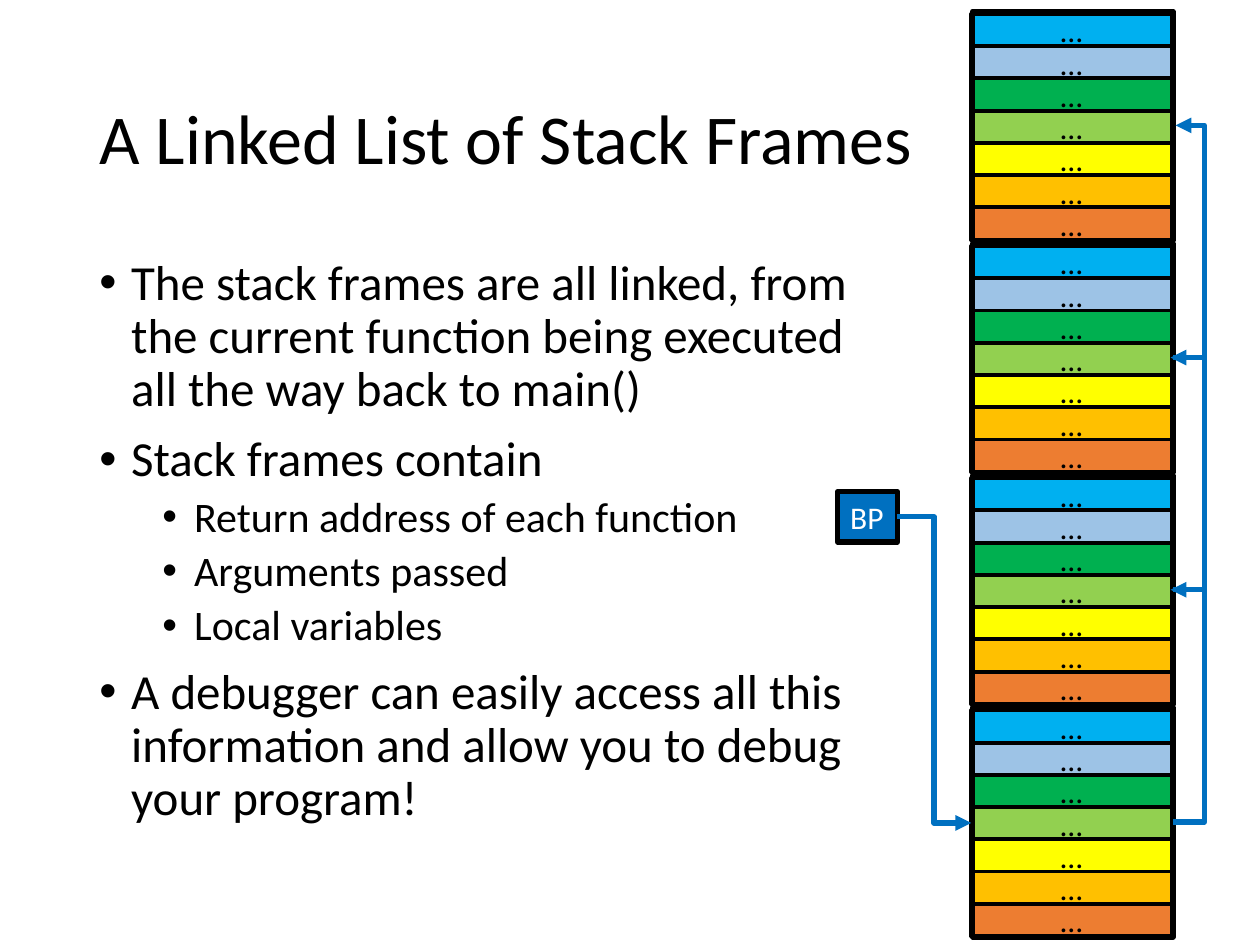
from dataclasses import dataclass

from lxml import etree
from pptx import Presentation
from pptx.dml.color import RGBColor
from pptx.enum.shapes import MSO_CONNECTOR, MSO_SHAPE
from pptx.enum.text import MSO_ANCHOR, MSO_AUTO_SIZE, PP_ALIGN
from pptx.oxml.ns import qn
from pptx.util import Cm, Pt

RECTANGLE = MSO_SHAPE.RECTANGLE
ELBOW = MSO_CONNECTOR.ELBOW
LEFT, CENTER = PP_ALIGN.LEFT, PP_ALIGN.CENTER
TOP, MIDDLE = MSO_ANCHOR.TOP, MSO_ANCHOR.MIDDLE
NO_FIT, GROW = MSO_AUTO_SIZE.NONE, MSO_AUTO_SIZE.SHAPE_TO_FIT_TEXT


@dataclass(frozen=True)
class Theme:
    font: str = "Calibri"
    black: str = "000000"
    white: str = "FFFFFF"
    blue: str = "0070C0"
    cells: tuple = ("00B0F0", "9DC3E6", "00B050", "92D050",
                    "FFFF00", "FFC000", "ED7D31")
    title_size: int = 40
    body_sizes: tuple = (28, 24)
    label_size: int = 18
    cell_line: float = 2.25
    heavy_line: float = 3


THEME = Theme()

TITLE = "A Linked List of Stack Frames"
BULLETS = [
    (0, "The stack frames are all linked, from the current function "
        "being executed all the way back to main()"),
    (0, "Stack frames contain"),
    (1, "Return address of each function"),
    (1, "Arguments passed"),
    (1, "Local variables"),
    (0, "A debugger can easily access all this information and allow "
        "you to debug your program!"),
]

# Lengths in centimetres
FRAME_COUNT = 4
FRAME_PITCH = 4.68
CELL_LEFT, CELL_TOP = 19.58, 0.28
CELL_WIDTH, CELL_HEIGHT, CELL_PITCH = 4.04, 0.66, 0.65
OUTLINE_LEFT, OUTLINE_TOP, OUTLINE_HEIGHT = 19.61, 0.23, 4.62
POINTER_TOP = 2.53
LINK_START, LINK_BEND = 23.65, 24.28
LINK_ENDS = (23.7, 23.6, 23.6)


def place(shape, left, top, width, height):
    shape.left, shape.top = Cm(left), Cm(top)
    shape.width, shape.height = Cm(width), Cm(height)


def write(para, text, size, color=THEME.black, align=LEFT,
          spacing=None, before=None):
    para.alignment = align
    if spacing is not None:
        para.line_spacing = spacing
    if before is not None:
        para.space_before = Pt(before)
    span = para.add_run()
    span.text = text
    span.font.name = THEME.font
    span.font.size = Pt(size)
    span.font.color.rgb = RGBColor.from_string(color)


def set_bullet(para, level):
    para.level = level
    properties = para._p.get_or_add_pPr()
    properties.set("marL", str(Cm(0.64 + 1.27 * level)))
    properties.set("indent", str(Cm(-0.64)))
    etree.SubElement(properties, qn("a:buFont")).set("typeface", "Arial")
    etree.SubElement(properties, qn("a:buChar")).set("char", "•")


def add_title(page):
    title = page.shapes.title
    place(title, 1.75, 1.02, 17.3, 3.68)
    title.text_frame.auto_size = NO_FIT
    title.text_frame.vertical_anchor = MIDDLE
    write(title.text_frame.paragraphs[0], TITLE, THEME.title_size, spacing=0.9)


def add_bullets(page):
    body = page.placeholders[1]
    place(body, 1.75, 5.08, 16.51, 12.09)
    frame = body.text_frame
    frame.auto_size = NO_FIT
    for number, (level, text) in enumerate(BULLETS):
        para = frame.add_paragraph() if number else frame.paragraphs[0]
        set_bullet(para, level)
        before = (10, 5)[level] if number else 0
        write(para, text, THEME.body_sizes[level], spacing=0.9, before=before)


def add_box(page, left, top, width, height, fill=None,
            line_width=THEME.heavy_line):
    box = page.shapes.add_shape(RECTANGLE, Cm(left), Cm(top),
                                Cm(width), Cm(height))
    box.shadow.inherit = False
    if fill:
        box.fill.solid()
        box.fill.fore_color.rgb = RGBColor.from_string(fill)
    else:
        box.fill.background()
    box.line.color.rgb = RGBColor.from_string(THEME.black)
    box.line.width = Pt(line_width)
    return box


def add_stack_frame(page, offset):
    for row, color in enumerate(THEME.cells):
        cell = add_box(page, CELL_LEFT, CELL_TOP + offset + row * CELL_PITCH,
                       CELL_WIDTH, CELL_HEIGHT, color, THEME.cell_line)
        cell.text_frame.vertical_anchor = MIDDLE
        write(cell.text_frame.paragraphs[0], "…", THEME.label_size,
              align=CENTER)
    add_box(page, OUTLINE_LEFT, OUTLINE_TOP + offset,
            CELL_WIDTH, OUTLINE_HEIGHT)


def add_base_pointer(page):
    box = add_box(page, 16.89, 9.91, 1.2, 1.02, THEME.blue)
    frame = box.text_frame
    frame.word_wrap = False
    frame.auto_size = GROW
    frame.vertical_anchor = TOP
    write(frame.paragraphs[0], "BP", THEME.label_size, THEME.white)


def add_elbow_arrow(page, start, end, bend):
    """Draw an arrow whose upright part stands at x = bend."""
    (x1, y1), (x2, y2) = start, end
    arrow = page.shapes.add_connector(ELBOW, Cm(x1), Cm(y1), Cm(x2), Cm(y2))
    arrow.line.color.rgb = RGBColor.from_string(THEME.blue)
    arrow.line.width = Pt(THEME.heavy_line)
    properties = arrow._element.spPr
    line = properties.find(qn("a:ln"))
    etree.SubElement(line, qn("a:tailEnd")).set("type", "triangle")
    etree.SubElement(properties, qn("a:effectLst"))
    geometry = properties.find(qn("a:prstGeom"))
    guide = etree.SubElement(geometry.find(qn("a:avLst")), qn("a:gd"))
    guide.set("name", "adj1")
    guide.set("fmla", f"val {round((bend - x1) / (x2 - x1) * 100000)}")


def main():
    deck = Presentation()
    deck.slide_width, deck.slide_height = Cm(25.4), Cm(19.05)
    page = deck.slides.add_slide(deck.slide_layouts[1])
    add_title(page)
    add_bullets(page)
    for index in range(FRAME_COUNT):
        add_stack_frame(page, index * FRAME_PITCH)
    for index, end in enumerate(LINK_ENDS):
        top = POINTER_TOP + index * FRAME_PITCH
        add_elbow_arrow(page, (LINK_START, top + FRAME_PITCH), (end, top),
                        LINK_BEND)
    add_base_pointer(page)
    add_elbow_arrow(page, (18.09, 10.42), (CELL_LEFT, 16.59), 18.83)
    deck.save("out.pptx")


if __name__ == "__main__":
    main()
